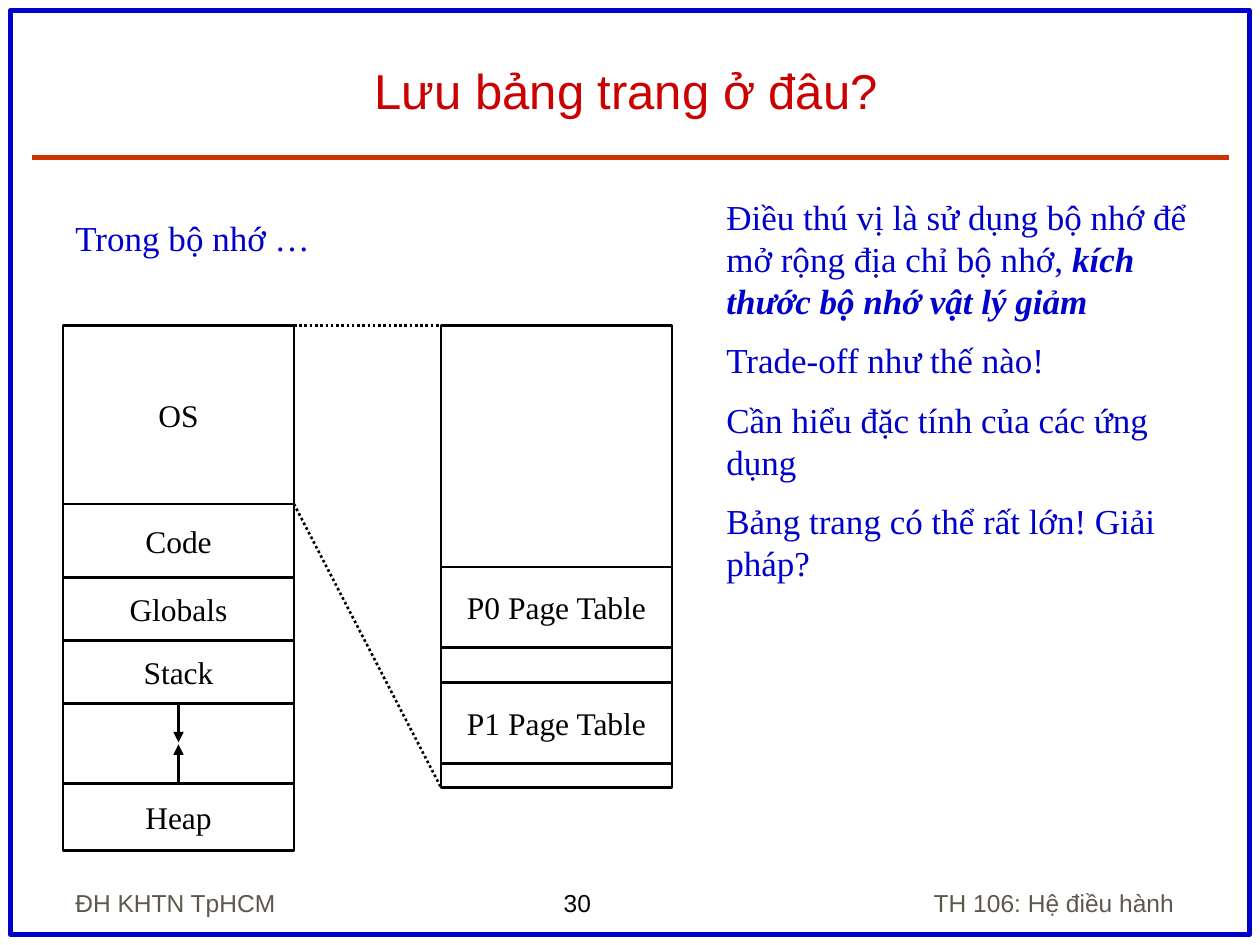
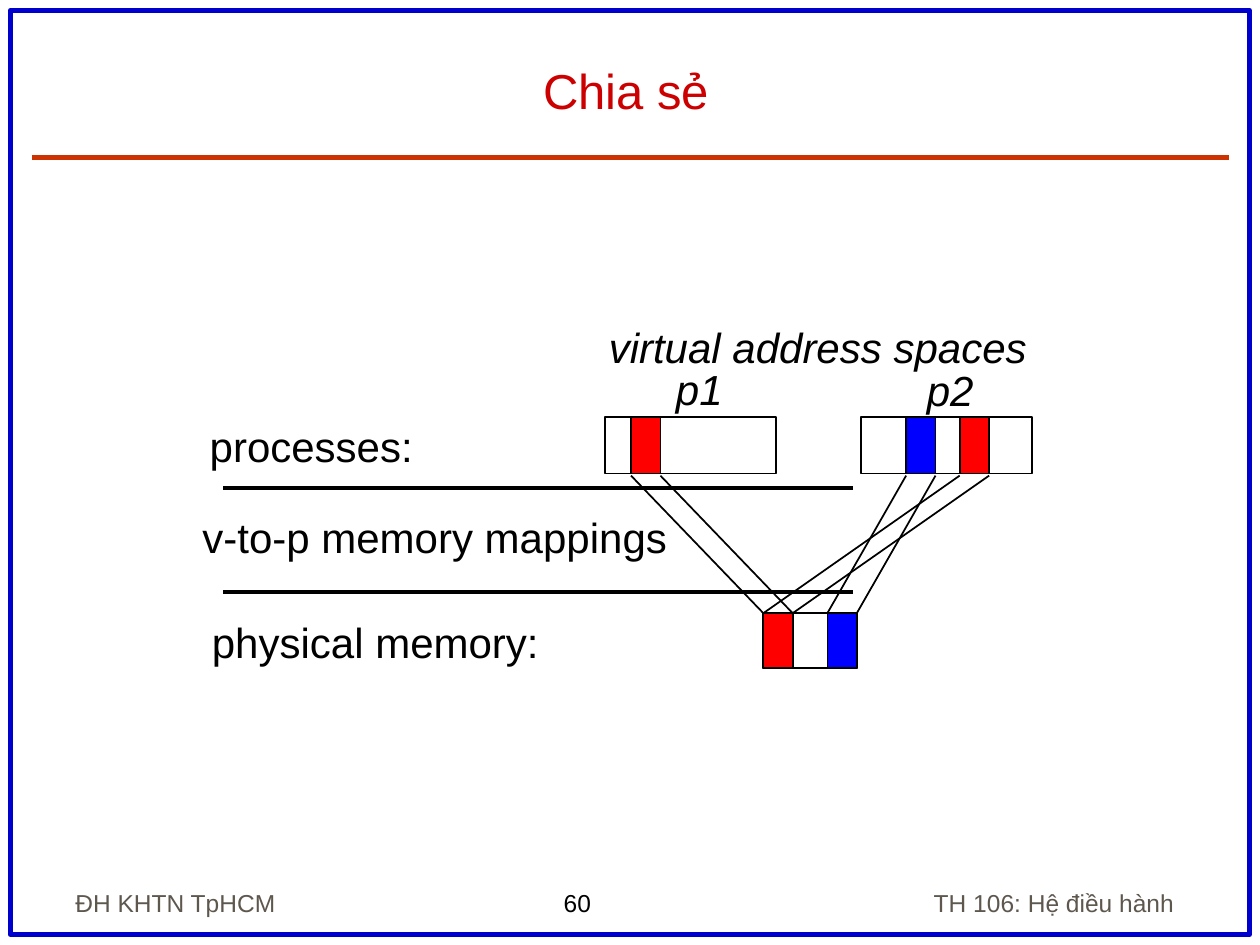
from lxml import etree
from pptx import Presentation
from pptx import util as u
from pptx.dml.color import RGBColor
from pptx.enum import dml, shapes, text
from pptx.oxml.ns import qn

BLACK = RGBColor(0, 0, 0)
WHITE = RGBColor(255, 255, 255)
NAVY = RGBColor(0x00, 0x00, 0xCC)
RUST = RGBColor(0xCC, 0x33, 0x00)
CRIMSON = RGBColor(0xCC, 0x00, 0x00)
TAUPE = RGBColor(0x5E, 0x57, 0x4E)
RED = RGBColor(255, 0, 0)
BLUE = RGBColor(0, 0, 255)
SANS, SERIF = "Arial", "Times New Roman"
CENTER, RIGHT = text.PP_ALIGN.CENTER, text.PP_ALIGN.RIGHT
MIDDLE, BOTTOM = text.MSO_ANCHOR.MIDDLE, text.MSO_ANCHOR.BOTTOM

COLS, ROWS = 120, 90

SCHOOL, COURSE = "ĐH KHTN TpHCM", "TH 106: Hệ điều hành"

STORAGE = {
    "title": "Lưu bảng trang ở đâu?",
    "number": "30",
    "lead": "Trong bộ nhớ …",
    "points": [
        [("Điều thú vị là sử dụng bộ nhớ để mở rộng địa chỉ bộ nhớ, ", False),
         ("kích thước bộ nhớ vật lý giảm", True)],
        [("Trade-off như thế nào!", False)],
        [("Cần hiểu đặc tính của các ứng dụng", False)],
        [("Bảng trang có thể rất lớn! Giải pháp?", False)],
    ],
    "segments": [("OS", 17), ("Code", 7), ("Globals", 6), ("Stack", 6), ("", 7.6), ("Heap", 6.4)],
    "tables": [("P0 Page Table", 54), ("P1 Page Table", 65)],
}
MEMORY_X, KERNEL_X, MEMORY_Y, MEMORY_W = 6, 42, 31, 22
KERNEL_H, TABLE_H, ARROW_H = 44, 7.7, 3.7

SHARING = {
    "title": "Chia sẻ",
    "number": "60",
    "rows": [("processes:", 18.8, 39.5), ("v-to-p memory mappings", 18.1, 48.1),
             ("physical memory:", 19, 58.1)],
    "spaces": [("virtual address spaces", 56.8, 30), ("p1", 63.2, 34), ("p2", 87.1, 34.1)],
    "virtual": [57.6, 82],
    "frames": {RED: 72.7, BLUE: 78.8},
    "pages": [(RED, 60.1), (BLUE, 86.3), (RED, 91.4)],
}
SPACE_W, SPACE_Y, SPACE_H = 16.3, 39.7, 5.4
FRAME_Y, FRAME_H, PAGE_W = 58.4, 5.2, 2.8
DIVIDER_X, DIVIDER_W, DIVIDER_YS = 21.25, 60, (46.5, 56.4)

prs = Presentation()
prs.slide_width, prs.slide_height = u.Inches(10), u.Inches(7.5)


def gx(cols):
    return round(prs.slide_width * cols / COLS)


def gy(rows):
    return round(prs.slide_height * rows / ROWS)


def write(sp, paragraphs, size=18, font=SERIF, color=BLACK, align=None,
          anchor=None, italic=False, gap=0, wrap=True):
    tf = sp.text_frame
    tf.word_wrap = wrap
    tf.vertical_anchor = anchor
    if isinstance(paragraphs, str):
        paragraphs = [[(paragraphs, False)]]
    for i, runs in enumerate(paragraphs):
        p = tf.add_paragraph() if i else tf.paragraphs[0]
        p.alignment = align
        if i:
            p.space_before = u.Pt(gap)
        for words, strong in runs:
            r = p.add_run()
            r.text = words
            f = r.font
            f.name, f.size, f.color.rgb = font, u.Pt(size), color
            f.bold, f.italic = strong, strong or italic


def label(s, words, x, y, w, h, **style):
    sp = s.shapes.add_textbox(gx(x), gy(y), gx(w), gy(h))
    write(sp, words, **style)


def box(s, x, y, w, h, fill=None, line=BLACK, width=1.5, words=""):
    sp = s.shapes.add_shape(shapes.MSO_SHAPE.RECTANGLE, gx(x), gy(y), gx(w), gy(h))
    sp.shadow.inherit = False
    if fill is None:
        sp.fill.background()
    else:
        sp.fill.solid()
        sp.fill.fore_color.rgb = fill
    sp.line.color.rgb, sp.line.width = line, u.Pt(width)
    if words:
        write(sp, words, align=CENTER, anchor=MIDDLE, wrap=False)
    return sp


def line(s, x1, y1, x2, y2, color=BLACK, width=1.5, dotted=False, arrow=False):
    c = s.shapes.add_connector(shapes.MSO_CONNECTOR.STRAIGHT, gx(x1), gy(y1), gx(x2), gy(y2))
    c.line.color.rgb, c.line.width = color, u.Pt(width)
    if dotted:
        c.line.dash_style = dml.MSO_LINE.ROUND_DOT
    if arrow:
        etree.SubElement(c.line._get_or_add_ln(), qn("a:tailEnd"), type="triangle")
    etree.SubElement(c._element.spPr, qn("a:effectLst"))
    return c


def new_slide(content):
    s = prs.slides.add_slide(prs.slide_layouts[6])
    label(s, content["number"], 52.5, 84, 13, 4, size=14, font=SANS)
    box(s, 1, 1, COLS - 2, ROWS - 2, line=NAVY, width=3)
    line(s, 3, 15, COLS - 3, 15, color=RUST, width=3)
    footer = dict(size=14, font=SANS, color=TAUPE, anchor=BOTTOM)
    label(s, SCHOOL, 6, 82, 25, 6, **footer)
    label(s, COURSE, 80, 82, 33, 6, align=RIGHT, **footer)
    label(s, content["title"], 5.25, 3, 108.75, 9, size=28, font=SANS,
          color=CRIMSON, align=CENTER, anchor=BOTTOM)
    return s


def storage_slide():
    s = new_slide(STORAGE)
    prose = dict(size=20, color=NAVY)
    label(s, STORAGE["points"], 68, 18, 48, 65, gap=10, **prose)
    label(s, STORAGE["lead"], 6, 20, 25, 5.3, **prose)

    parts, y = {}, MEMORY_Y
    for name, h in STORAGE["segments"]:
        parts[name] = box(s, MEMORY_X, y, MEMORY_W, h, words=name), y, y + h
        y += h
    mid = MEMORY_X + MEMORY_W / 2
    for name, side, edge, step in (("Stack", 2, 2, ARROW_H), ("Heap", 0, 1, -ARROW_H)):
        start = parts[name][edge]
        c = line(s, mid, start, mid, start + step, arrow=True)
        c.begin_connect(parts[name][0], side)

    box(s, KERNEL_X, MEMORY_Y, MEMORY_W, KERNEL_H)
    for name, top in STORAGE["tables"]:
        box(s, KERNEL_X, top, MEMORY_W, TABLE_H, words=name)
    _, os_top, os_bottom = parts["OS"]
    for y1, y2 in ((os_top, MEMORY_Y), (os_bottom, MEMORY_Y + KERNEL_H)):
        line(s, MEMORY_X + MEMORY_W, y1, KERNEL_X, y2, dotted=True)


def sharing_slide():
    s = new_slide(SHARING)
    for y in DIVIDER_YS:
        line(s, DIVIDER_X, y, DIVIDER_X + DIVIDER_W, y, width=2)
    for group, italic in (("rows", False), ("spaces", True)):
        for words, x, y in SHARING[group]:
            label(s, words, x, y, 48, 6, size=24, font=SANS, italic=italic, wrap=False)

    frames = SHARING["frames"]
    for x in SHARING["virtual"]:
        box(s, x, SPACE_Y, SPACE_W, SPACE_H, fill=WHITE, width=1)
    box(s, frames[RED], FRAME_Y, frames[BLUE] + PAGE_W - frames[RED], FRAME_H, fill=WHITE, width=1)
    for color, x in frames.items():
        box(s, x, FRAME_Y, PAGE_W, FRAME_H, fill=color, width=1)
    for color, x in SHARING["pages"]:
        box(s, x, SPACE_Y, PAGE_W, SPACE_H, fill=color, width=1)
        for dx in (0, PAGE_W):
            line(s, x + dx, SPACE_Y + SPACE_H + 0.2, frames[color] + dx, FRAME_Y, width=1)


storage_slide()
sharing_slide()
prs.save("out.pptx")
